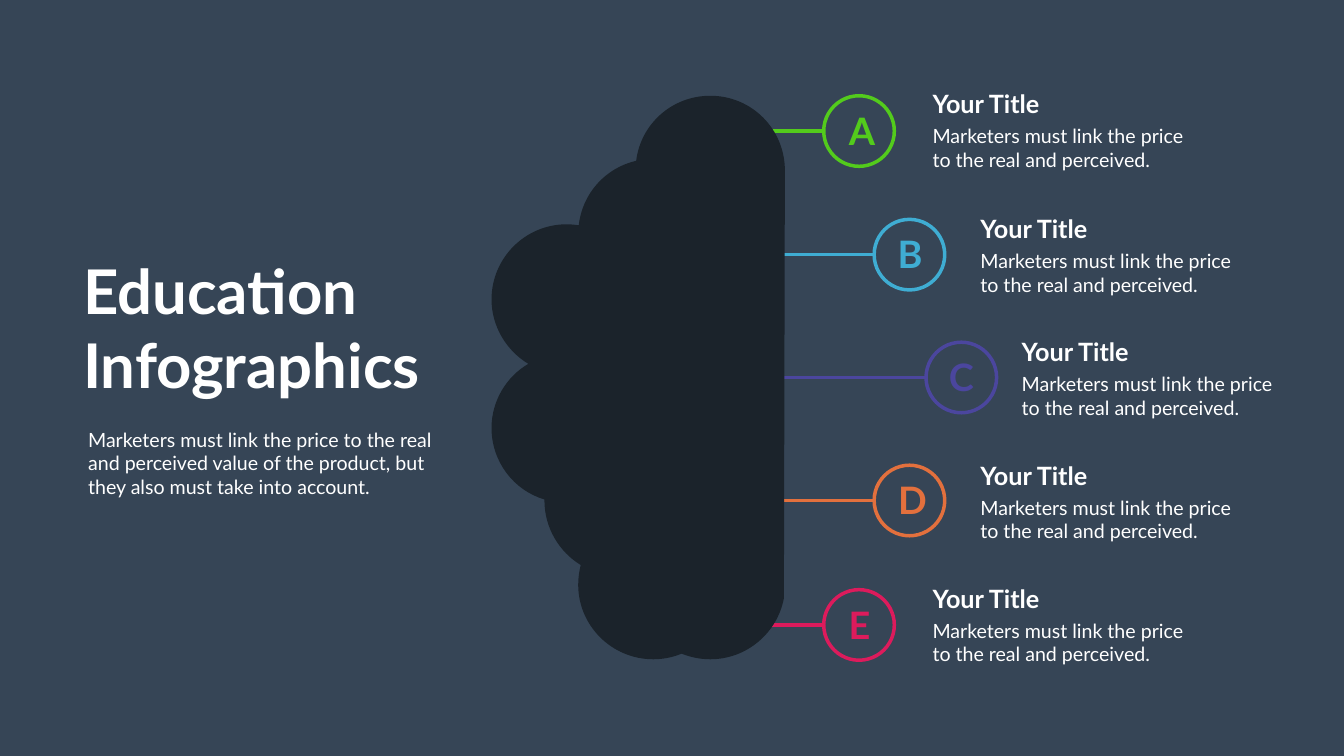
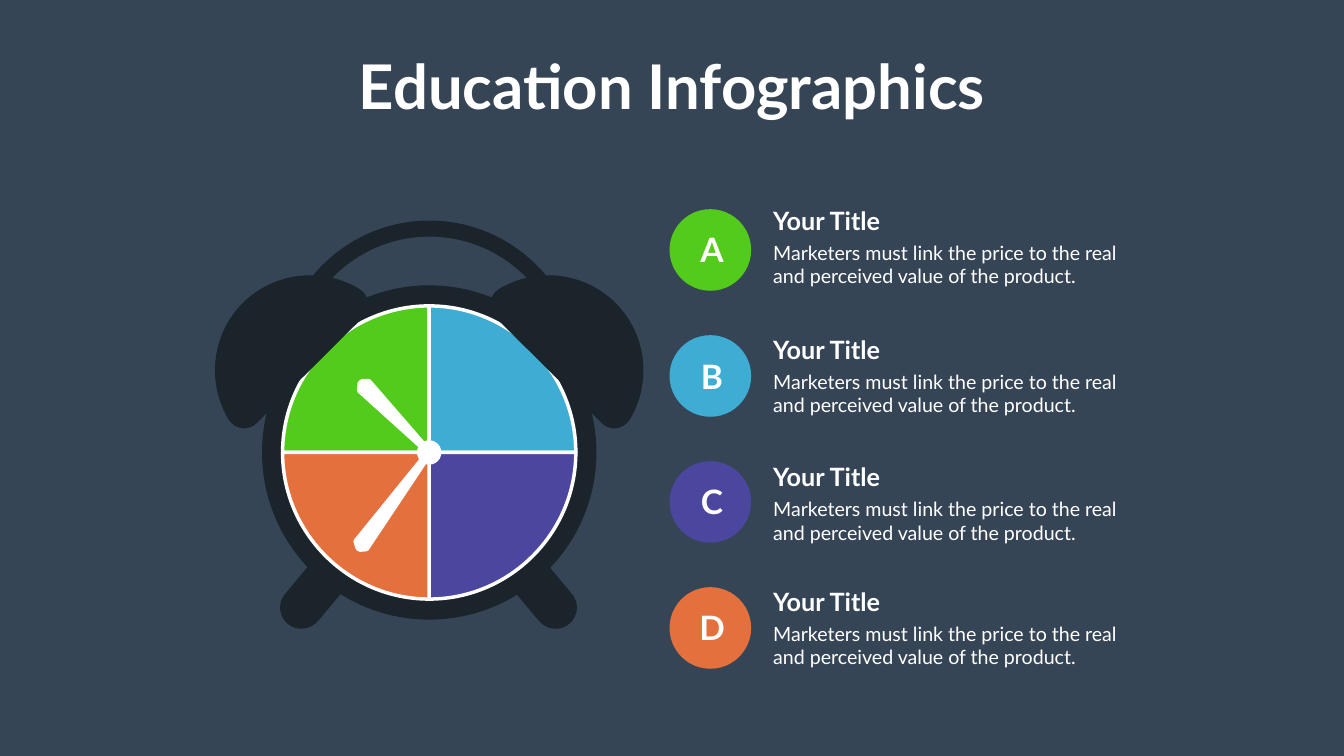
"""Builds two education infographic slides: a brain and an alarm clock."""
import math
from dataclasses import dataclass

from lxml import etree
from pptx import Presentation
from pptx import util as u
from pptx.dml import color
from pptx.enum import shapes, text
from pptx.oxml import ns

BACKGROUND, DARK, WHITE = "364556", "1B232B", "FFFFFF"
GREEN, BLUE, PURPLE, ORANGE, PINK = "53CB1C", "3FADD3", "4B469E", "E3703D", "DD1B5C"
FONT = "Lato"
STROKE = 5
HEADING = "Education Infographics"
SHORT_BODY = "Marketers must link the price to the real and perceived."
LONG_BODY = "Marketers must link the price to the real and perceived value of the product."
INTRO = ("Marketers must link the price to the real and perceived value of the product, "
         "but they also must take into account.")

CLOCK_X, CLOCK_Y = 613, 646.4

Segment = tuple[float, ...]
Outline = list[Segment]

BRAIN: Outline = [
    (1014.5, 136.8),
    (959.8, 136.8, 915.1, 177.1, 908.6, 229.7),
    (864.7, 239.8, 831.6, 276.5, 826.6, 321.8),
    (820.8, 321.1, 815, 320.4, 809.3, 320.4),
    (750.2, 320.4, 702, 368.6, 702, 427.7),
    (702, 466.6, 723.6, 501.1, 754.6, 519.8),
    (723.6, 537.8, 702, 572.4, 702, 611.3),
    (702, 659.5, 733.7, 700.6, 777.6, 713.5),
    (777.6, 715),
    (777.6, 753.8, 798.5, 788.4, 829.4, 807.1),
    (827.3, 815.8, 825.8, 825.1, 825.8, 835.2),
    (825.8, 894.2, 874.1, 941.8, 933.1, 941.8),
    (947.5, 941.8, 961.2, 938.9, 973.4, 933.8),
    (986.4, 938.9, 1000.1, 941.8, 1014.5, 941.8),
    (1066.3, 941.8, 1110.2, 904.3, 1119.6, 854.6),
    (1121, 243.4),
    (1121, 184.3, 1073.5, 136.8, 1014.5, 136.8),
]
RIGHT_LEG: Outline = [
    (812.9, 891.4),
    (799.9, 902.2, 780.5, 900, 769.7, 887),
    (720.7, 828.7),
    (767.5, 789.1),
    (816.5, 848.2),
    (828, 861.1, 825.8, 880.6, 812.9, 891.4),
]
RIGHT_BELL: Outline = [
    (859, 604.1),
    (870.5, 616.3, 889.9, 614.2, 899.3, 599.8),
    (931, 547.2, 924.5, 478.1, 879.1, 432.7),
    (833.8, 388.1, 764.6, 380.9, 712.1, 413.3),
    (698.4, 421.9, 696.2, 441.4, 707.8, 453.6),
]
MINUTE_HAND: Outline = [
    (523.4, 787.7),
    (514.1, 788.4),
    (511.2, 788.4, 508.3, 786.2, 507.6, 783.4),
    (504.7, 774),
    (504.7, 773.3, 504.7, 771.8, 505.4, 771.1),
    (607, 645.8),
    (608.4, 644.4, 610.6, 644.4, 613.4, 646.6),
    (615.6, 648, 616.3, 650.9, 615.6, 652.3),
    (526.3, 786.2),
    (525.6, 787, 524.9, 787.7, 523.4, 787.7),
]
HOUR_HAND: Outline = [
    (526.3, 541.4),
    (517, 541.4),
    (514.1, 542.2, 511.2, 545, 510.5, 547.2),
    (509.8, 557.3),
    (509.8, 558, 510.5, 559.4, 510.5, 560.2),
    (607, 647.3),
    (608.4, 648.7, 611.3, 648, 613.4, 646.6),
    (614.9, 644.4, 615.6, 641.5, 614.2, 640.1),
    (529.2, 542.2),
    (528.5, 541.4, 527.8, 540.7, 526.3, 541.4),
]


@dataclass
class Box:
    """Position and size in points."""
    left: float
    top: float
    width: float
    height: float


@dataclass
class TextStyle:
    """Look of a one-paragraph text box."""
    size: float
    bold: bool = True
    colour: str = WHITE
    centred: bool = False
    wrap: bool = True


@dataclass
class Branch:
    """A ringed letter joined to the brain, with its text."""
    letter: str
    colour: str
    centre_x: float
    centre_y: float
    letter_shift: float
    arm_end: float
    text_left: float
    title_top: float


@dataclass
class Topic:
    """A filled letter disc beside the clock, with its text."""
    letter: str
    colour: str
    letter_top: float
    title_top: float
    quarter_start: float


HEADING_STYLE = TextStyle(88)
CENTRED_HEADING_STYLE = TextStyle(88, centred=True, wrap=False)
TITLE_STYLE = TextStyle(36)
BODY_STYLE = TextStyle(28, bold=False)

BRANCHES = [
    Branch("A", GREEN, 1226.9, 187.2, -44, 1073.5, 1324.8, 122.9),
    Branch("B", BLUE, 1298.9, 363.8, -47.5, 1084.3, 1393.2, 301.2),
    Branch("C", PURPLE, 1373, 539.3, -48, 1090.8, 1452.2, 477.2),
    Branch("D", ORANGE, 1298.9, 715, -44, 1084.3, 1393.2, 653.6),
    Branch("E", PINK, 1226.9, 892.8, -47.5, 1066.3, 1324.8, 829.6),
]
TOPICS = [
    Topic("A", GREEN, 323.3, 289.6, 180),
    Topic("B", BLUE, 504.7, 474, 270),
    Topic("C", PURPLE, 684, 656.1, 0),
    Topic("D", ORANGE, 864, 834, 90),
]


def rgb(value: str) -> color.RGBColor:
    """Turn a hex string into a colour."""
    return color.RGBColor.from_string(value)


def paint(shape, fill: str | None, line: str | None) -> None:
    """Set fill and line of a shape and drop its shadow."""
    shape.shadow.inherit = False
    if fill:
        shape.fill.solid()
        shape.fill.fore_color.rgb = rgb(fill)
    else:
        shape.fill.background()
    if line:
        shape.line.color.rgb = rgb(line)
        shape.line.width = u.Pt(STROKE)
    else:
        shape.line.fill.background()


def add_text(container, content: str, box: Box, style: TextStyle) -> None:
    """Add a text box to a slide or a group."""
    shape = container.shapes.add_textbox(
        u.Pt(box.left), u.Pt(box.top), u.Pt(box.width), u.Pt(box.height))
    text_frame = shape.text_frame
    text_frame.text = content
    text_frame.word_wrap = style.wrap
    text_frame.auto_size = text.MSO_AUTO_SIZE.SHAPE_TO_FIT_TEXT
    paragraph = text_frame.paragraphs[0]
    if style.centred:
        paragraph.alignment = text.PP_ALIGN.CENTER
    font = paragraph.runs[0].font
    font.name = FONT
    font.size = u.Pt(style.size)
    font.bold = style.bold
    font.color.rgb = rgb(style.colour)


def add_title_and_body(slide, left: float, top: float, body: str, width: float) -> None:
    """Add a grouped title with its body below."""
    group = slide.shapes.add_group_shape()
    add_text(group, body, Box(left, top + 50.8, width, 74.9), BODY_STYLE)
    add_text(group, "Your Title", Box(left, top, 379.4, 51.1), TITLE_STYLE)


def add_circle(slide, x: float, y: float, radius: float,
               fill: str | None = None, line: str | None = None) -> None:
    """Add a circle around a centre."""
    shape = slide.shapes.add_shape(
        shapes.MSO_SHAPE.OVAL, u.Pt(x - radius), u.Pt(y - radius),
        u.Pt(2 * radius), u.Pt(2 * radius))
    paint(shape, fill, line)


def add_arm(slide, start: float, end: float, y: float, colour: str) -> None:
    """Add a horizontal connector."""
    connector = slide.shapes.add_connector(
        shapes.MSO_CONNECTOR.STRAIGHT, u.Pt(start), u.Pt(y), u.Pt(end), u.Pt(y))
    connector.line.color.rgb = rgb(colour)
    connector.line.width = u.Pt(STROKE)
    etree.SubElement(connector._element.spPr, ns.qn("a:effectLst"))


def add_outline(slide, outline: Outline, fill: str, line: str | None = None) -> None:
    """Add a closed freeform whose six-number segments are cubic curves."""
    points = [(u.Pt(x), u.Pt(y)) for segment in outline
              for x, y in zip(segment[::2], segment[1::2])]
    builder = slide.shapes.build_freeform(*points[0], scale=1.0)
    builder.add_line_segments(points[1:], close=True)
    shape = builder.convert_to_shape()
    steps = iter(list(shape._element.iter(ns.qn("a:lnTo"))))
    for segment in outline[1:]:
        step = next(steps)
        if len(segment) == 6:
            curve = step.makeelement(ns.qn("a:cubicBezTo"))
            step.addprevious(curve)
            for control in (step, next(steps), next(steps)):
                curve.append(control[0])
                control.getparent().remove(control)
    paint(shape, fill, line)


def on_circle(x: float, y: float, radius: float, degrees: float) -> Segment:
    """Give the point at a clockwise angle from the right."""
    angle = math.radians(degrees)
    return x + radius * math.cos(angle), y + radius * math.sin(angle)


def quarter_arc(x: float, y: float, radius: float, start: float, turn: int = 90) -> Segment:
    """Give the cubic curve of a quarter circle."""
    x0, y0 = on_circle(x, y, radius, start)
    x3, y3 = on_circle(x, y, radius, start + turn)
    pull = 0.55
    return (x0 + pull * (x3 - x), y0 + pull * (y3 - y),
            x3 + pull * (x0 - x), y3 + pull * (y0 - y), x3, y3)


def mirror(outline: Outline, axis: float) -> Outline:
    """Reflect an outline in a vertical axis."""
    return [tuple(value if index % 2 else 2 * axis - value
                  for index, value in enumerate(segment)) for segment in outline]


def add_mirrored_pair(slide, outline: Outline, axis: float) -> None:
    """Add a dark outline and its mirror image."""
    add_outline(slide, outline, DARK)
    add_outline(slide, mirror(outline, axis), DARK)


def add_handle(slide, x: float, y: float, outer: float, inner: float) -> None:
    """Add the half ring on top of the clock."""
    add_outline(slide, [
        on_circle(x, y, outer, 180),
        quarter_arc(x, y, outer, 180), quarter_arc(x, y, outer, 270),
        on_circle(x, y, inner, 360),
        quarter_arc(x, y, inner, 360, -90), quarter_arc(x, y, inner, 270, -90),
    ], DARK)


def add_slide(presentation):
    """Add a blank slide with the shared background."""
    slide = presentation.slides.add_slide(presentation.slide_layouts[6])
    slide.background.fill.solid()
    slide.background.fill.fore_color.rgb = rgb(BACKGROUND)
    return slide


def build_brain_slide(presentation) -> None:
    """Draw the brain with five branches."""
    slide = add_slide(presentation)
    radius = 50.4
    for branch in BRANCHES:
        add_circle(slide, branch.centre_x, branch.centre_y, radius, line=branch.colour)
        add_arm(slide, branch.centre_x - radius, branch.arm_end, branch.centre_y, branch.colour)
    add_outline(slide, BRAIN, DARK)
    for branch in BRANCHES:
        letter_box = Box(branch.centre_x + branch.letter_shift, branch.centre_y - 37.2, 96.5, 72.7)
        add_text(slide, branch.letter, letter_box, TextStyle(54, colour=branch.colour, centred=True))
        add_title_and_body(slide, branch.text_left, branch.title_top, SHORT_BODY, 379.4)
    add_text(slide, HEADING, Box(111.6, 357.8, 561.6, 220.3), HEADING_STYLE)
    add_text(slide, INTRO, Box(118.8, 607.3, 527.8, 108.7), BODY_STYLE)


def build_clock_slide(presentation) -> None:
    """Draw the alarm clock with four topics."""
    slide = add_slide(presentation)
    add_text(slide, HEADING, Box(495.4, 65.5, 928.1, 113.8), CENTRED_HEADING_STYLE)
    for index, topic in enumerate(TOPICS):
        add_circle(slide, 1014.5, 357.1 + 180 * index, 58.3, topic.colour)
    add_handle(slide, 613.4, 531.7, 216.6, 193.7)
    add_mirrored_pair(slide, RIGHT_LEG, 612)
    add_circle(slide, CLOCK_X, CLOCK_Y, 238.8, DARK)
    for topic in TOPICS:
        face = CLOCK_X, CLOCK_Y, 209.4, topic.quarter_start
        add_outline(slide, [(CLOCK_X, CLOCK_Y), on_circle(*face), quarter_arc(*face)],
                    topic.colour, WHITE)
    add_mirrored_pair(slide, RIGHT_BELL, CLOCK_X)
    add_circle(slide, CLOCK_X, CLOCK_Y, 17.4, WHITE)
    for hand in (MINUTE_HAND, HOUR_HAND):
        add_outline(slide, hand, WHITE)
    for topic in TOPICS:
        add_title_and_body(slide, 1097.3, topic.title_top, LONG_BODY, 527.8)
        add_text(slide, topic.letter, Box(962.6, topic.letter_top, 108.7, 65.5),
                 TextStyle(48, centred=True))


def main() -> None:
    """Build and save the presentation."""
    presentation = Presentation()
    presentation.slide_width = u.Pt(1919.52)
    presentation.slide_height = u.Pt(1080)
    build_brain_slide(presentation)
    build_clock_slide(presentation)
    presentation.save("out.pptx")


if __name__ == "__main__":
    main()
